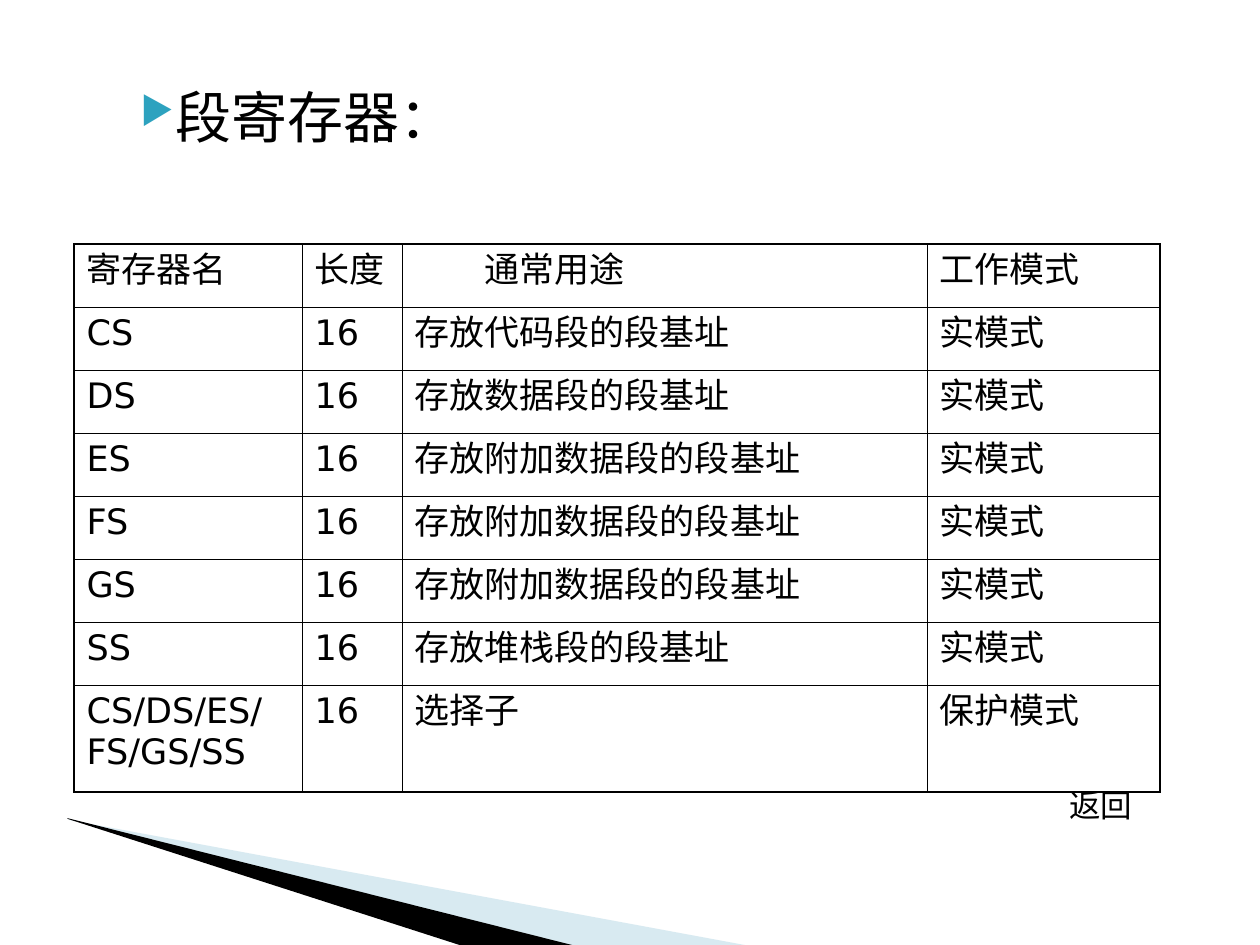
from dataclasses import dataclass

from lxml import etree
from pptx import Presentation
from pptx import util as u
from pptx.dml.color import RGBColor
from pptx.enum import text
from pptx.oxml import ns

EMU_PER_PX = 914400 / 126
BLACK = "000000"
SANS, MONO = "DejaVu Sans", "DejaVu Sans Mono"
OUTER, INNER = 1.08, 0.45  # table border widths in points


@dataclass(frozen=True)
class Wedge:
    points: tuple[tuple[int, int], ...]
    fill: str
    opacity: int = 100


@dataclass(frozen=True)
class Register:
    name: str
    use: str
    mode: str = "实模式"
    length: str = "16"


WEDGES = (
    Wedge(((69, 820), (750, 946), (575, 946), (69, 819)), "9FCBDC", 40),
    Wedge(((67, 818), (576, 946), (469, 948), (68, 819)), BLACK),
)
HEADER = Register("寄存器名", "通常用途", "工作模式", "长度")
REGISTERS = (
    Register("CS", "存放代码段的段基址"),
    Register("DS", "存放数据段的段基址"),
    *(Register(name, "存放附加数据段的段基址") for name in ("ES", "FS", "GS")),
    Register("SS", "存放堆栈段的段基址"),
    Register("CS/DS/ES/FS/GS/SS", "选择子", "保护模式"),
)
COLUMN_WIDTHS = (228, 100, 525, 233)
ROW_HEIGHT, LAST_ROW_HEIGHT = 63, 107


def px(value: int) -> u.Emu:
    return u.Emu(round(value * EMU_PER_PX))


def colour(value: str) -> RGBColor:
    return RGBColor.from_string(value)


def add_xml(parent, tag: str, **attributes: str):
    return etree.SubElement(parent, ns.qn(tag), attributes)


def write(frame, content: str, *, size: int, font: str = SANS, indent: int = 0,
          hanging: int = 0, bullet: str = "", bullet_colour: str = BLACK,
          bullet_percent: int = 100) -> None:
    para = frame.paragraphs[0]
    properties = para._p.get_or_add_pPr()
    properties.set("marL", str(px(indent)))
    properties.set("indent", str(px(-hanging)))
    if bullet:
        holder = add_xml(properties, "a:buClr")
        add_xml(holder, "a:srgbClr", val=bullet_colour)
        add_xml(properties, "a:buSzPct", val=str(bullet_percent * 1000))
        add_xml(properties, "a:buChar", char=bullet)
    span = para.add_run()
    span.text = content
    span.font.size = u.Pt(size)
    span.font.color.rgb = colour(BLACK)
    span.font.name = font
    add_xml(span._r.get_or_add_rPr(), "a:ea", typeface=font)


def add_text_box(page, left: int, top: int, width: int, height: int,
                 content: str, *, wrap: bool = True, **style) -> None:
    box = page.shapes.add_textbox(px(left), px(top), px(width), px(height))
    box.text_frame.word_wrap = wrap
    box.text_frame.vertical_anchor = text.MSO_ANCHOR.TOP
    write(box.text_frame, content, **style)


def add_wedge(page, wedge: Wedge) -> None:
    start, *rest = wedge.points
    builder = page.shapes.build_freeform(*start, scale=EMU_PER_PX)
    builder.add_line_segments(rest, close=True)
    shape = builder.convert_to_shape()
    shape.shadow.inherit = False
    shape.line.fill.background()
    shape.fill.solid()
    shape.fill.fore_color.rgb = colour(wedge.fill)
    if wedge.opacity < 100:
        tint = shape._element.spPr.find(".//" + ns.qn("a:srgbClr"))
        add_xml(tint, "a:alpha", val=str(wedge.opacity * 1000))


def set_borders(cell, widths: dict[str, float]) -> None:
    properties = cell._tc.get_or_add_tcPr()
    for position, (side, width) in enumerate(widths.items()):
        line = add_xml(properties, f"a:ln{side}", w=str(u.Pt(width)))
        fill = add_xml(line, "a:solidFill")
        add_xml(fill, "a:srgbClr", val=BLACK)
        properties.insert(position, line)


def add_register_table(page, left: int, top: int) -> None:
    rows = (HEADER, *REGISTERS)
    heights = [ROW_HEIGHT] * (len(rows) - 1) + [LAST_ROW_HEIGHT]
    table = page.shapes.add_table(
        len(rows), len(COLUMN_WIDTHS), px(left), px(top),
        px(sum(COLUMN_WIDTHS)), px(sum(heights))).table
    table.first_row = table.horz_banding = False
    for column, width in zip(table.columns, COLUMN_WIDTHS):
        column.width = px(width)
    last_row, last_column = len(rows) - 1, len(COLUMN_WIDTHS) - 1

    for i, (register, height) in enumerate(zip(rows, heights)):
        table.rows[i].height = px(height)
        values = (register.name, register.length, register.use, register.mode)
        for j, value in enumerate(values):
            cell = table.cell(i, j)
            cell.fill.background()
            indent = 70 if value == HEADER.use else 0
            write(cell.text_frame, value, size=20, indent=indent)
            set_borders(cell, {
                "L": OUTER if j == 0 else INNER,
                "R": OUTER if j == last_column else INNER,
                "T": OUTER if i == 0 else INNER,
                "B": OUTER if i == last_row else INNER,
            })


def main() -> None:
    deck = Presentation()
    deck.slide_width, deck.slide_height = px(1260), px(945)
    page = deck.slides.add_slide(deck.slide_layouts[6])

    # Corner decoration
    for wedge in WEDGES:
        add_wedge(page, wedge)

    # Heading
    add_text_box(page, 113, 76, 1052, 118, "段寄存器：", size=32, font=MONO,
                 indent=50, hanging=35, bullet="▶", bullet_colour="2DA2BF",
                 bullet_percent=68)

    # Segment registers
    add_register_table(page, 74, 244)

    # Return label
    add_text_box(page, 1057, 780, 88, 50, "返回", wrap=False, size=18)

    deck.save("out.pptx")


if __name__ == "__main__":
    main()
